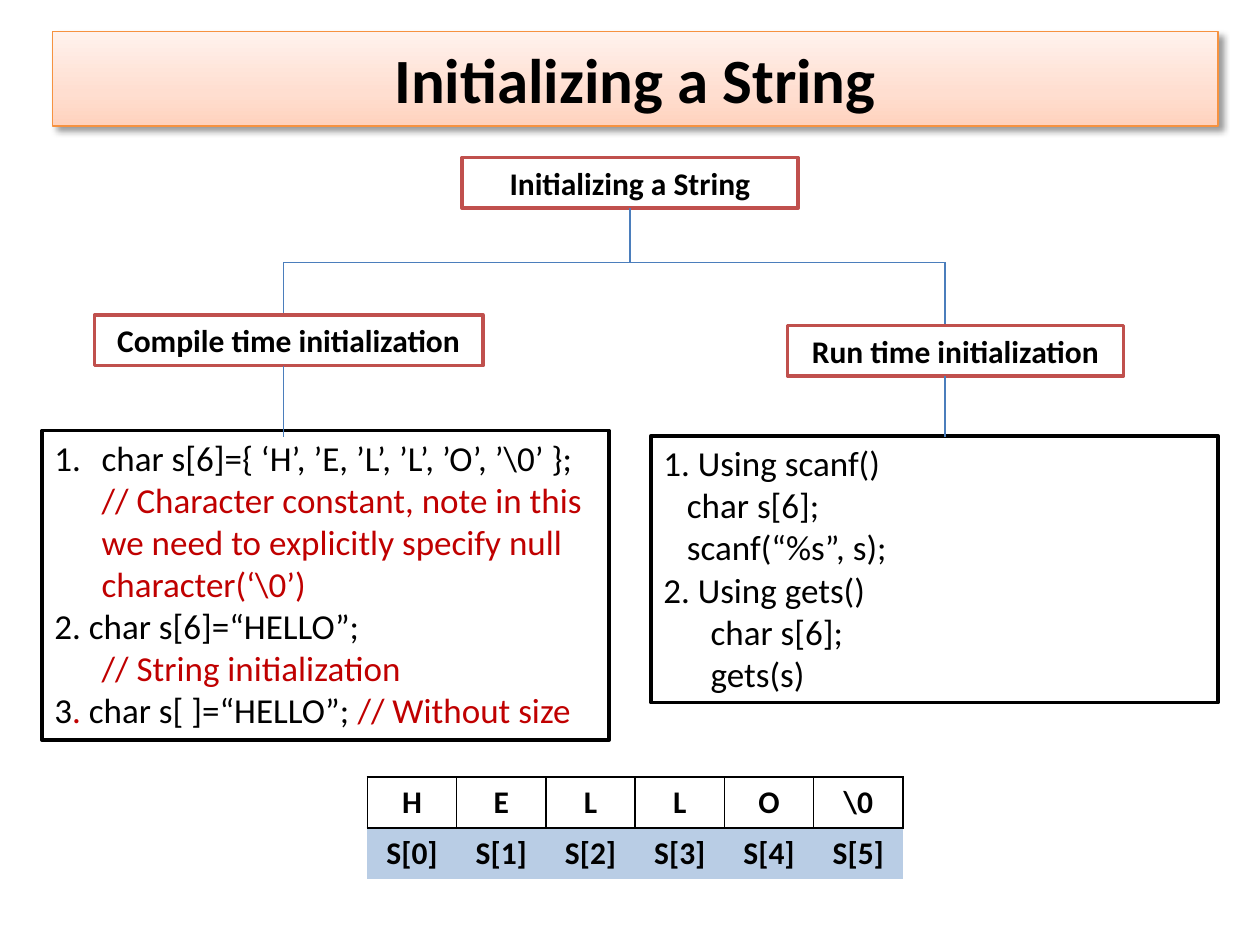
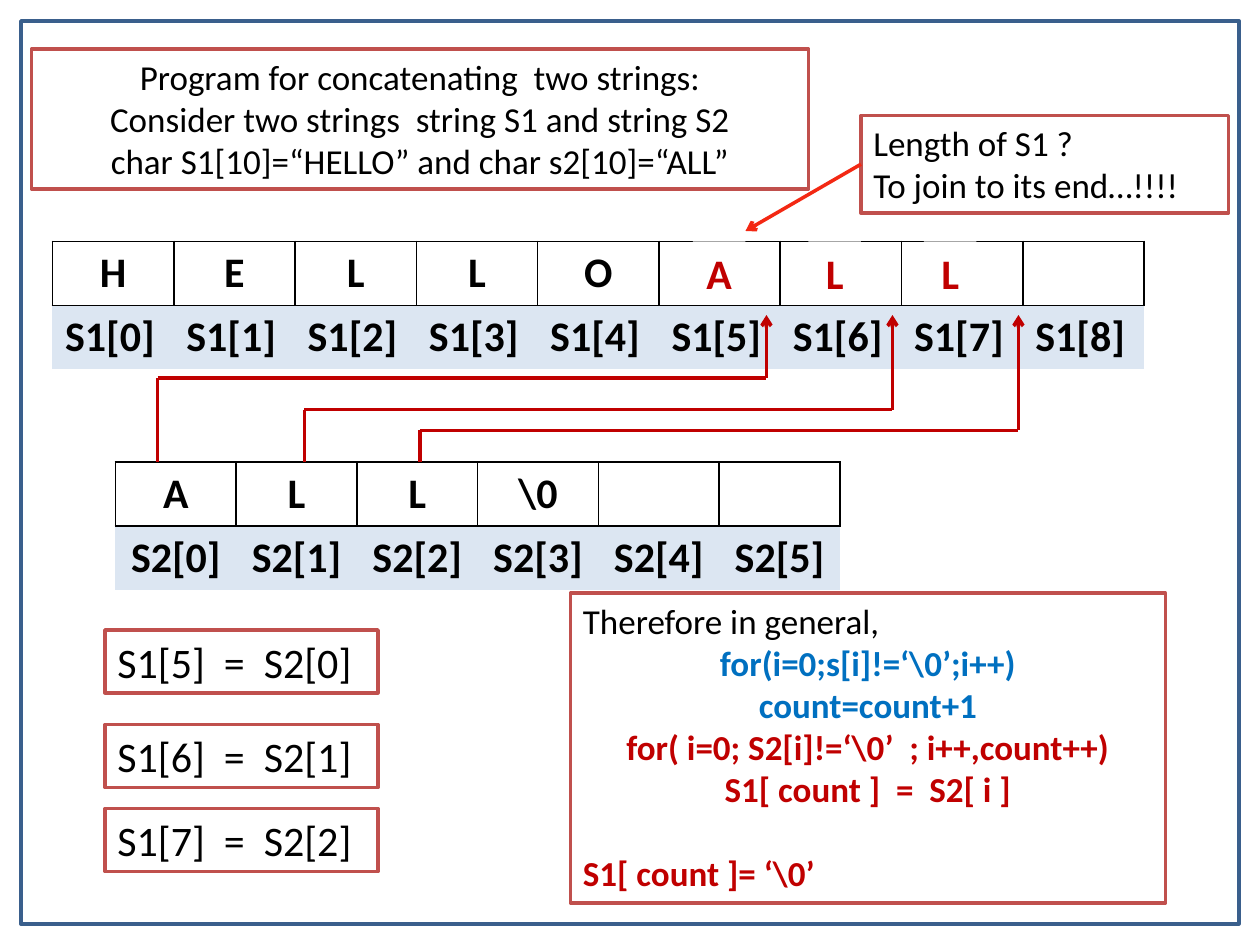
from copy import deepcopy

from lxml import etree
from pptx import Presentation
from pptx.dml import color as dml
from pptx.enum import shapes, text
from pptx.oxml import ns, parse_xml
from pptx.util import Pt

FONT = "Calibri"
BLACK, WHITE = "000000", "FFFFFF"
RED, BLUE, BRICK = "C00000", "0070C0", "C0504D"
TREE_LINE, FRAME, CALLOUT = "4B7EBC", "3A5F8C", "F32813"
LABEL_MID, LABEL_PALE = "B9CDE5", "DCE6F2"
LEFT, CENTER = text.PP_ALIGN.LEFT, text.PP_ALIGN.CENTER
HANG = {"left": 27, "first": -27}


def rgb(value):
    return dml.RGBColor.from_string(value)


def apply(obj, values):
    for name, value in values.items():
        setattr(obj, name, value)


def sub(parent, tag, **attrs):
    return etree.SubElement(parent, ns.qn(tag), attrs)


def para(*runs, align=LEFT, left=0, first=0, before=0, numbered=False):
    """Describe a paragraph; each run is (text, colour, bold)."""
    return {"runs": runs, "align": align, "left": left, "first": first,
            "before": before, "numbered": numbered}


def plain(words, color=BLACK, bold=False, **layout):
    return para((words, color, bold), **layout)


def write(tf, paras, size):
    for i, spec in enumerate(paras):
        p = tf.add_paragraph() if i else tf.paragraphs[0]
        apply(p, {"alignment": spec["align"], "space_before": Pt(spec["before"])})
        pPr = p._p.get_or_add_pPr()
        pPr.set("marL", str(Pt(spec["left"])))
        pPr.set("indent", str(Pt(spec["first"])))
        if spec["numbered"]:
            sub(pPr, "a:buFont", typeface="+mj-lt")
            sub(pPr, "a:buAutoNum", type="arabicPeriod")
        for words, color, bold in spec["runs"]:
            r = p.add_run()
            r.text = words
            apply(r.font, {"name": FONT, "size": Pt(size), "bold": bold})
            r.font.color.rgb = rgb(color)


def add_box(slide, box, paras=(), size=20, line=BRICK, fill=WHITE, width=2,
            anchor=text.MSO_ANCHOR.TOP):
    sp = slide.shapes.add_shape(shapes.MSO_SHAPE.RECTANGLE, *map(Pt, box))
    sp.shadow.inherit = False
    if fill:
        sp.fill.solid()
        sp.fill.fore_color.rgb = rgb(fill)
    else:
        sp.fill.background()
    if line:
        sp.line.color.rgb = rgb(line)
        sp.line.width = Pt(width)
    else:
        sp.line.fill.background()
    apply(sp.text_frame, {"word_wrap": True, "vertical_anchor": anchor})
    write(sp.text_frame, paras, size)
    return sp


def add_line(slide, start, end, color, width, arrow=False):
    c = slide.shapes.add_connector(shapes.MSO_CONNECTOR.STRAIGHT,
                                   *map(Pt, (*start, *end)))
    c.line.color.rgb = rgb(color)
    c.line.width = Pt(width)
    if arrow:
        sub(c.line._get_or_add_ln(), "a:tailEnd", type="arrow")
    sub(c._element.spPr, "a:effectLst")
    return c


def set_borders(cell, sides):
    """Draw the named sides in black and clear the others."""
    tcPr = cell._tc.get_or_add_tcPr()
    for i, side in enumerate("LRTB"):
        ln = etree.Element(ns.qn(f"a:ln{side}"), w=str(Pt(1)))
        if side in sides:
            sub(sub(ln, "a:solidFill"), "a:srgbClr", val=BLACK)
        else:
            sub(ln, "a:noFill")
        tcPr.insert(i, ln)


def add_array(slide, box, name, values, size, label_fill, label_align=CENTER):
    """Draw an array: a row of characters above a row of index labels."""
    x, y, w, h = box
    n = len(values)
    tbl = slide.shapes.add_table(2, n, *map(Pt, box)).table
    apply(tbl, {"first_row": False, "horz_banding": False})
    for col in tbl.columns:
        col.width = Pt(w / n)
    for row in tbl.rows:
        row.height = Pt(h / 2)
    labels = [f"{name}[{i}]" for i in range(n)]
    rows = ((values, WHITE, CENTER, "LRTB"), (labels, label_fill, label_align, "T"))
    for r, (words, fill, align, sides) in enumerate(rows):
        for c, word in enumerate(words):
            cell = tbl.cell(r, c)
            cell.fill.solid()
            cell.fill.fore_color.rgb = rgb(fill)
            set_borders(cell, sides)
            write(cell.text_frame, [plain(word, bold=True, align=align)], size)


def add_title(slide, box, words):
    sp = add_box(slide, box, [plain(words, bold=True, align=CENTER)], 36,
                 line="F69240", width=0.75, anchor=text.MSO_ANCHOR.MIDDLE)
    sp.fill.gradient()
    sp.fill.gradient_angle = 90
    stops = sp._element.spPr.find(".//" + ns.qn("a:gsLst"))
    stops.insert(1, deepcopy(stops[0]))
    tints = ((0, "FFD2BD"), (0.35, "FFDED0"), (1, "FFF2ED"))
    for stop, (position, tint) in zip(sp.fill.gradient_stops, tints):
        stop.position = position
        stop.color.rgb = rgb(tint)
    effects = sp._element.spPr.find(ns.qn("a:effectLst"))
    effects.append(parse_xml(
        f'<a:outerShdw {ns.nsdecls("a")} blurRad="{Pt(4)}" dist="{Pt(3)}" '
        'dir="2700000" rotWithShape="0"><a:srgbClr val="000000">'
        '<a:alpha val="40000"/></a:srgbClr></a:outerShdw>'))


def add_tree(slide, box):
    """Draw the root, its two branches and the code box under each."""
    x, y, w, h = box
    root_x, trunk_y = x + w / 2, y + 60
    compile_code = [
        plain("char s[6]={ ‘H’, ’E, ’L’, ’L’, ’O’, ’\\0’ };", numbered=True, **HANG),
        plain("// Character constant, note in this we need to explicitly "
              "specify null character(‘\\0’)", RED, left=27),
        plain("2. char s[6]=“HELLO”;", **HANG),
        plain("// String initialization", RED, left=27),
        para(("3", BLACK, False), (". ", RED, False),
             ("char s[ ]=“HELLO”; ", BLACK, False),
             ("// Without size", RED, False), **HANG),
    ]
    run_code = [
        plain("1. Using scanf()", **HANG),
        plain("char s[6];", left=13.5),
        plain("scanf(“%s”, s);", left=13.5),
        plain("2. Using gets()", **HANG),
        plain("char s[6];", left=27),
        plain("gets(s)", left=27),
    ]
    # stem x, heading, heading box, code, code box
    branches = (
        (x + 138, "Compile time initialization", (x + 30, y + 90, 222, 29),
         compile_code, (x, y + 156, 324, 177)),
        (x + 516, "Run time initialization", (x + 426, y + 96, 192, 29),
         run_code, (x + w - 324, y + 159, 324, 152.6)),
    )

    def heading(words, place):
        return add_box(slide, place, [plain(words, bold=True, align=CENTER)], 18)

    root = heading("Initializing a String", (root_x - 96, y, 192, 29))
    trunk = add_line(slide, (root_x, y + 29), (root_x, trunk_y), TREE_LINE, 0.75)
    trunk.begin_connect(root, 2)
    add_line(slide, (branches[0][0], trunk_y), (branches[1][0], trunk_y),
             TREE_LINE, 0.75)
    for stem_x, words, head, code, place in branches:
        add_line(slide, (stem_x, trunk_y), (stem_x, head[1]), TREE_LINE, 0.75)
        heading(words, head)
        add_box(slide, place, code, line=BLACK)
        add_line(slide, (stem_x, head[1] + head[3]), (stem_x, y + 160),
                 TREE_LINE, 0.75)


def add_concatenation(slide, box):
    """Draw both arrays, the routes between them and the joined letters."""
    x, y, w, h = box
    target, source = y, y + h - 72
    add_array(slide, (x, target, w, 72), "S1", [*"HELLO", "", "", "", ""], 24,
              LABEL_PALE, LEFT)
    add_array(slide, (x + 36, source, 414, 72), "S2",
              ["A", "L", "L", "\\0", "", ""], 24, LABEL_PALE)
    routes = (("A", 60, 78), ("L", 144, 96), ("L", 210, 108))
    for i, (letter, start, lane) in enumerate(routes):
        start_x, end_x, lane_y = x + start, x + 408 + 72 * i, y + lane
        add_line(slide, (start_x, source), (start_x, lane_y), RED, 2)
        add_line(slide, (start_x, lane_y), (end_x, lane_y), RED, 2)
        add_line(slide, (end_x, lane_y), (end_x, y + 42), RED, 2, arrow=True)
        add_box(slide, (x + 366 + 66 * i, target, 30, 36),
                [plain(letter, RED, True, align=CENTER)], 24, line=None)


def add_assignments(slide, box):
    x, y, w, h = box
    for i, top in enumerate((y, y + 54, y + h - 36)):
        add_box(slide, (x, top, w, 36), [plain(f"S1[{5 + i}]  =  S2[{i}]")], 24)


def add_general_rule(slide, box):
    centered = (
        ("for(i=0;s[i]!=‘\\0’;i++)", BLUE),
        ("count=count+1", BLUE),
        ("for( i=0; S2[i]!=‘\\0’  ; i++,count++)", RED),
        ("S1[ count ]  =  S2[ i ]", RED),
    )
    add_box(slide, box, [
        plain("Therefore in general,"),
        *(plain(words, color, True, align=CENTER) for words, color in centered),
        plain("S1[ count ]= ‘\\0’", RED, True, before=24),
    ])


def add_length_question(slide, box):
    x, y, w, h = box
    note = add_box(slide, box, [plain("Length of S1 ?"),
                                plain("To join to its end…!!!!")])
    pointer = add_line(slide, (x, y + h / 2), (x - 66, y + 66), CALLOUT, 2, True)
    pointer.begin_connect(note, 1)


def initializing_slide(slide):
    add_title(slide, (30, 18, 666, 54), "Initializing a String")
    add_tree(slide, (24, 90, 672, 333))
    add_array(slide, (210, 444, 306, 58.4), "S", [*"HELLO", "\\0"], 18, LABEL_MID)


def concatenating_slide(slide):
    add_box(slide, (12, 12, 696, 516), line=FRAME, fill=None)
    add_concatenation(slide, (30, 138, 624, 198))
    add_assignments(slide, (60, 360, 156, 138))
    add_general_rule(slide, (326, 339, 340, 177))
    intro = ("Program for concatenating  two strings:",
             "Consider two strings  string S1 and string S2",
             "char S1[10]=“HELLO” and char s2[10]=“ALL”")
    add_box(slide, (18, 28, 444, 80), [plain(s, align=CENTER) for s in intro])
    add_length_question(slide, (492, 66, 210, 55.7))


def main():
    prs = Presentation()
    apply(prs, {"slide_width": Pt(720), "slide_height": Pt(540)})
    for build in (initializing_slide, concatenating_slide):
        build(prs.slides.add_slide(prs.slide_layouts[6]))
    prs.save("out.pptx")


if __name__ == "__main__":
    main()
